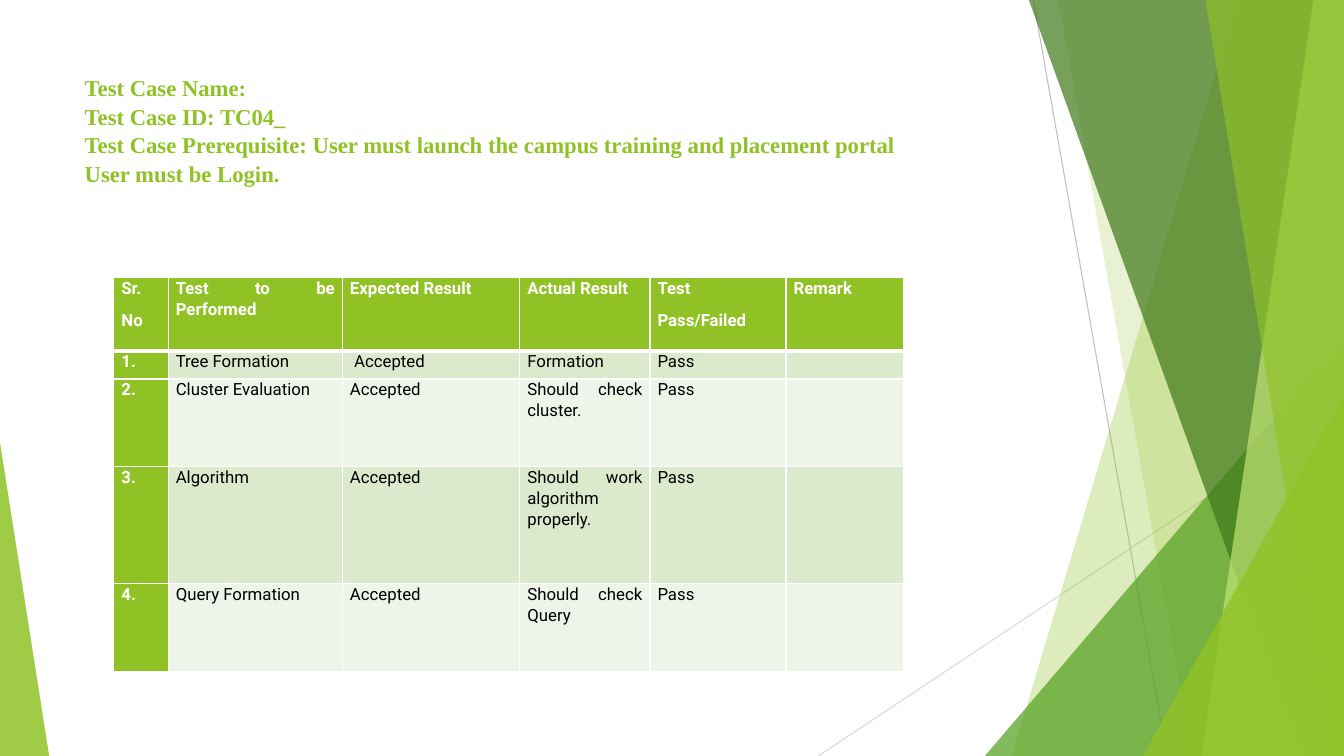
from lxml.etree import SubElement
from pptx import Presentation
from pptx.dml.color import RGBColor
from pptx.enum.shapes import MSO_CONNECTOR as Connector, MSO_SHAPE as Shape
from pptx.enum.text import MSO_ANCHOR as Anchor, MSO_AUTO_SIZE as AutoSize, PP_ALIGN as Align
from pptx.oxml.ns import qn
from pptx.util import Cm, Pt

LIME = RGBColor(0x90, 0xC2, 0x26)
GREEN = RGBColor(0x54, 0xA0, 0x21)
FOREST = RGBColor(0x3F, 0x78, 0x19)
PALE_LIME = RGBColor(0xC0, 0xE4, 0x74)
ODD_ROW = RGBColor(0xDB, 0xE9, 0xCD)
EVEN_ROW = RGBColor(0xEE, 0xF4, 0xE8)
GREY = RGBColor(0xBF, 0xBF, 0xBF)
LIGHT_GREY = RGBColor(0xD9, 0xD9, 0xD9)
WHITE = RGBColor(0xFF, 0xFF, 0xFF)
BLACK = RGBColor(0, 0, 0)

SLIDE_WIDTH, SLIDE_HEIGHT = 33.87, 19.05

HEADING = [
    "Test Case Name:",
    "Test Case ID: TC04_",
    "Test Case Prerequisite: User must launch the campus training and placement portal",
    "User must be Login.",
]
TEST_CASES = [
    ["Sr.\nNo", "Test to be Performed", "Expected Result", "Actual Result",
     "Test\nPass/Failed", "Remark"],
    ["1.", "Tree Formation", " Accepted", "Formation", "Pass", ""],
    ["2.", "Cluster Evaluation", "Accepted", "Should check cluster.", "Pass", ""],
    ["3.", "Algorithm", "Accepted", "Should work algorithm properly.", "Pass", ""],
    ["4.", "Query Formation", "Accepted", "Should check Query", "Pass", ""],
]
COLUMN_WIDTHS = [1.37, 4.39, 4.47, 3.28, 3.43, 2.97]
ROW_HEIGHTS = [1.85, 0.71, 2.21, 2.95, 2.21]


def write(paragraph, text, font, size, color, bold=False, align=Align.LEFT,
          spacing=1.0, after=0):
    paragraph.alignment = align
    paragraph.line_spacing = spacing
    paragraph.space_after = Pt(after)
    for number, line in enumerate(text.split("\n")):
        if number:
            paragraph.add_line_break()
        run = paragraph.add_run()
        run.text = line
        run.font.name = font
        run.font.size = Pt(size)
        run.font.bold = bold
        run.font.color.rgb = color


def paint(facet, color, opacity):
    facet.shadow.inherit = False
    facet.line.fill.background()
    facet.fill.solid()
    facet.fill.fore_color.rgb = color
    tint = facet.element.spPr.find(qn("a:solidFill"))[0]
    SubElement(tint, qn("a:alpha"), val=str(opacity * 1000))


def add_triangle(slide, left, top, width, height, apex, color, opacity):
    triangle = slide.shapes.add_shape(
        Shape.ISOSCELES_TRIANGLE, Cm(left), Cm(top), Cm(width), Cm(height))
    triangle.adjustments[0] = apex
    paint(triangle, color, opacity)


def add_facets(slide, left, top, width, height):
    right, bottom = left + width, top + height

    def ray(x1, y1, x2, y2, color):
        line = slide.shapes.add_connector(
            Connector.STRAIGHT, Cm(left + x1), Cm(top + y1), Cm(left + x2), Cm(top + y2))
        line.line.color.rgb = color
        line.line.width = Pt(0.75)
        SubElement(line.element.spPr, qn("a:effectLst"))

    def panel(upper, lower, color, opacity):
        outline = slide.shapes.build_freeform(Cm(left + upper), Cm(top))
        outline.add_line_segments([
            (Cm(right), Cm(top)), (Cm(right), Cm(bottom)), (Cm(left + lower), Cm(bottom))])
        paint(outline.convert_to_shape(), color, opacity)

    def corner(x, y, color, opacity):
        add_triangle(slide, left + x, top + y, width - x, height - y, 1, color, opacity)

    ray(5.42, 0, 8.79, height, GREY)
    ray(width, 10.24, 0, height, LIGHT_GREY)
    panel(10.57, 4.88, LIME, 30)
    panel(6.05, 9.43, LIME, 20)
    corner(4.2, 8.46, GREEN, 72)
    panel(5.31, 12.17, FOREST, 70)
    panel(12.48, 9.66, PALE_LIME, 70)
    panel(9.76, 12.86, LIME, 65)
    corner(8.18, 9.98, LIME, 80)


def add_heading(slide, left, top, width, height):
    heading = slide.shapes.title
    heading.left, heading.top = Cm(left), Cm(top)
    heading.width, heading.height = Cm(width), Cm(height)
    frame = heading.text_frame
    frame.word_wrap = True
    frame.auto_size = AutoSize.NONE
    frame.vertical_anchor = Anchor.TOP
    write(frame.paragraphs[0], "\n".join(HEADING), font="Times New Roman",
          size=16.2, color=LIME, bold=True, spacing=1.05)


def add_borders(cell, widths):
    properties = cell._tc.get_or_add_tcPr()
    for side, width in widths.items():
        border = SubElement(properties, qn(f"a:ln{side}"), w=str(Pt(width)))
        fill = SubElement(border, qn("a:solidFill"))
        SubElement(fill, qn("a:srgbClr"), val=str(WHITE))


def add_test_cases(slide, left, top, width, height):
    table = slide.shapes.add_table(
        len(ROW_HEIGHTS), len(COLUMN_WIDTHS),
        Cm(left), Cm(top), Cm(width), Cm(height)).table
    for column, column_width in zip(table.columns, COLUMN_WIDTHS):
        column.width = Cm(column_width)
    for row, row_height in zip(table.rows, ROW_HEIGHTS):
        row.height = Cm(row_height)
    for r, test_case in enumerate(TEST_CASES):
        for c, entry in enumerate(test_case):
            cell = table.cell(r, c)
            is_header = r == 0 or c == 0
            add_borders(cell, {"L": 1, "R": 1, "T": 3 if r == 1 else 1,
                               "B": 3 if r == 0 else 1})
            cell.fill.solid()
            cell.fill.fore_color.rgb = LIME if is_header else ODD_ROW if r % 2 else EVEN_ROW
            cell.margin_left = cell.margin_right = Cm(0.19)
            cell.margin_top = cell.margin_bottom = 0
            frame = cell.text_frame
            for number, line in enumerate(entry.split("\n")):
                paragraph = frame.add_paragraph() if number else frame.paragraphs[0]
                write(paragraph, line, font="Roboto", size=12,
                      color=WHITE if is_header else BLACK, bold=is_header,
                      align=Align.JUSTIFY, spacing=1.06, after=8)


def main():
    deck = Presentation()
    deck.slide_width, deck.slide_height = Cm(SLIDE_WIDTH), Cm(SLIDE_HEIGHT)
    slide = deck.slides.add_slide(deck.slide_layouts[5])
    add_facets(slide, 20.62, 0, 13.25, SLIDE_HEIGHT)
    add_triangle(slide, 0, 11.15, 1.24, 7.9, 0, LIME, 85)
    add_heading(slide, 1.88, 1.7, 23.88, 3.66)
    add_test_cases(slide, 2.87, 6.99, sum(COLUMN_WIDTHS), sum(ROW_HEIGHTS))
    deck.save("out.pptx")


if __name__ == "__main__":
    main()
